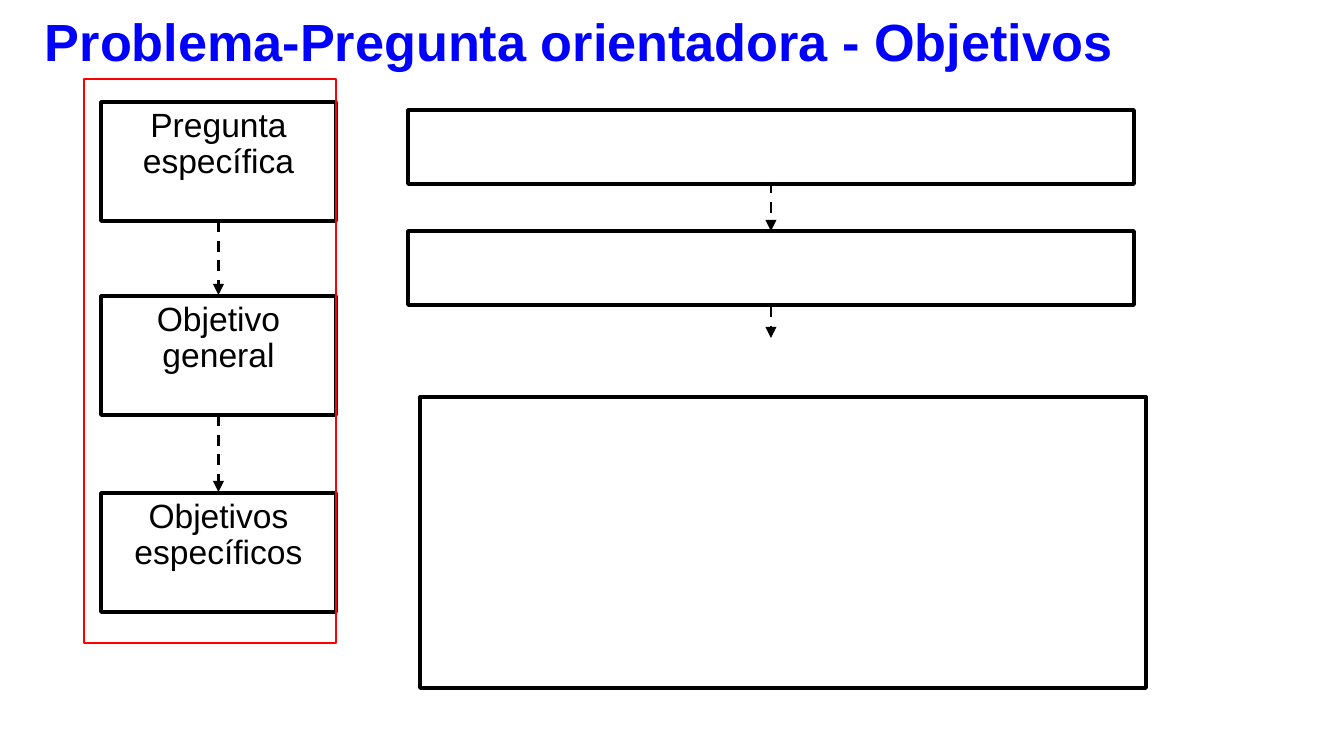
from dataclasses import dataclass

from lxml import etree
from pptx import Presentation
from pptx.dml.color import RGBColor
from pptx.enum.dml import MSO_LINE
from pptx.enum.shapes import MSO_CONNECTOR, MSO_SHAPE
from pptx.enum.text import MSO_ANCHOR, PP_ALIGN
from pptx.oxml.ns import qn
from pptx.util import Emu, Pt

STRAIGHT = MSO_CONNECTOR.STRAIGHT
RECTANGLE = MSO_SHAPE.RECTANGLE
DASH = MSO_LINE.DASH
TOP = MSO_ANCHOR.TOP
BOTTOM = MSO_ANCHOR.BOTTOM
CENTER = PP_ALIGN.CENTER
EMU_PER_PX = 914400 / 134.4


@dataclass(frozen=True)
class Theme:
    font: str = "Arial"
    title_color: RGBColor = RGBColor(0, 0, 255)
    ink: RGBColor = RGBColor(0, 0, 0)
    frame_color: RGBColor = RGBColor(255, 0, 0)
    title_size: int = 28
    label_size: int = 18
    box_line: float = 2
    arrow_line: float = 1.5
    frame_line: float = 1


THEME = Theme()


def px(length):
    return Emu(round(length * EMU_PER_PX))


def write_text(shape, text, size, color, anchor, bold=False, spacing=None):
    frame = shape.text_frame
    frame.word_wrap = True
    frame.vertical_anchor = anchor
    para = frame.paragraphs[0]
    para.alignment = CENTER
    para.line_spacing = spacing
    span = para.add_run()
    span.text = text
    span.font.name = THEME.font
    span.font.size = Pt(size)
    span.font.bold = bold
    span.font.color.rgb = color


def add_title(page, text):
    title = page.shapes.add_textbox(px(23), px(0), px(1111), px(79))
    write_text(title, text, THEME.title_size, THEME.title_color, BOTTOM, bold=True)


def add_box(group, left, top, width, height, color=THEME.ink, weight=THEME.box_line):
    box = group.shapes.add_shape(RECTANGLE, px(left), px(top), px(width), px(height))
    box.shadow.inherit = False
    box.fill.background()
    box.line.color.rgb = color
    box.line.width = Pt(weight)
    return box


def add_arrow(group, center, top, bottom):
    arrow = group.shapes.add_connector(
        STRAIGHT, px(center), px(top), px(center), px(bottom)
    )
    arrow.line.color.rgb = THEME.ink
    arrow.line.width = Pt(THEME.arrow_line)
    arrow.line.dash_style = DASH
    etree.SubElement(arrow.line._get_or_add_ln(), qn("a:tailEnd"), type="triangle")
    etree.SubElement(arrow._element.spPr, qn("a:effectLst"))


def add_labels(page):
    group = page.shapes.add_group_shape()
    left, width, height = 101, 235, 119
    labels = (
        ("Pregunta específica", 102),
        ("Objetivo general", 296),
        ("Objetivos específicos", 493),
    )
    for text, top in labels:
        box = add_box(group, left, top, width, height)
        write_text(box, text, THEME.label_size, THEME.ink, TOP, spacing=0.9)
    for (_, upper), (_, lower) in zip(labels, labels[1:]):
        add_arrow(group, left + width / 2, upper + height, lower - 1)
    add_box(group, 84, 79, 252, 564, THEME.frame_color, THEME.frame_line)


def add_answers(page):
    group = page.shapes.add_group_shape()
    width = 726
    for left, top, height in ((408, 110, 74), (408, 231, 74), (420, 397, 291)):
        add_box(group, left, top, width, height)
    for top, bottom in ((182, 231), (306, 338)):
        add_arrow(group, 771, top, bottom)


def main():
    deck = Presentation()
    deck.slide_width = px(1344)
    deck.slide_height = px(756)
    page = deck.slides.add_slide(deck.slide_layouts[6])
    add_title(page, "Problema-Pregunta orientadora - Objetivos")
    add_labels(page)
    add_answers(page)
    deck.save("out.pptx")


if __name__ == "__main__":
    main()
